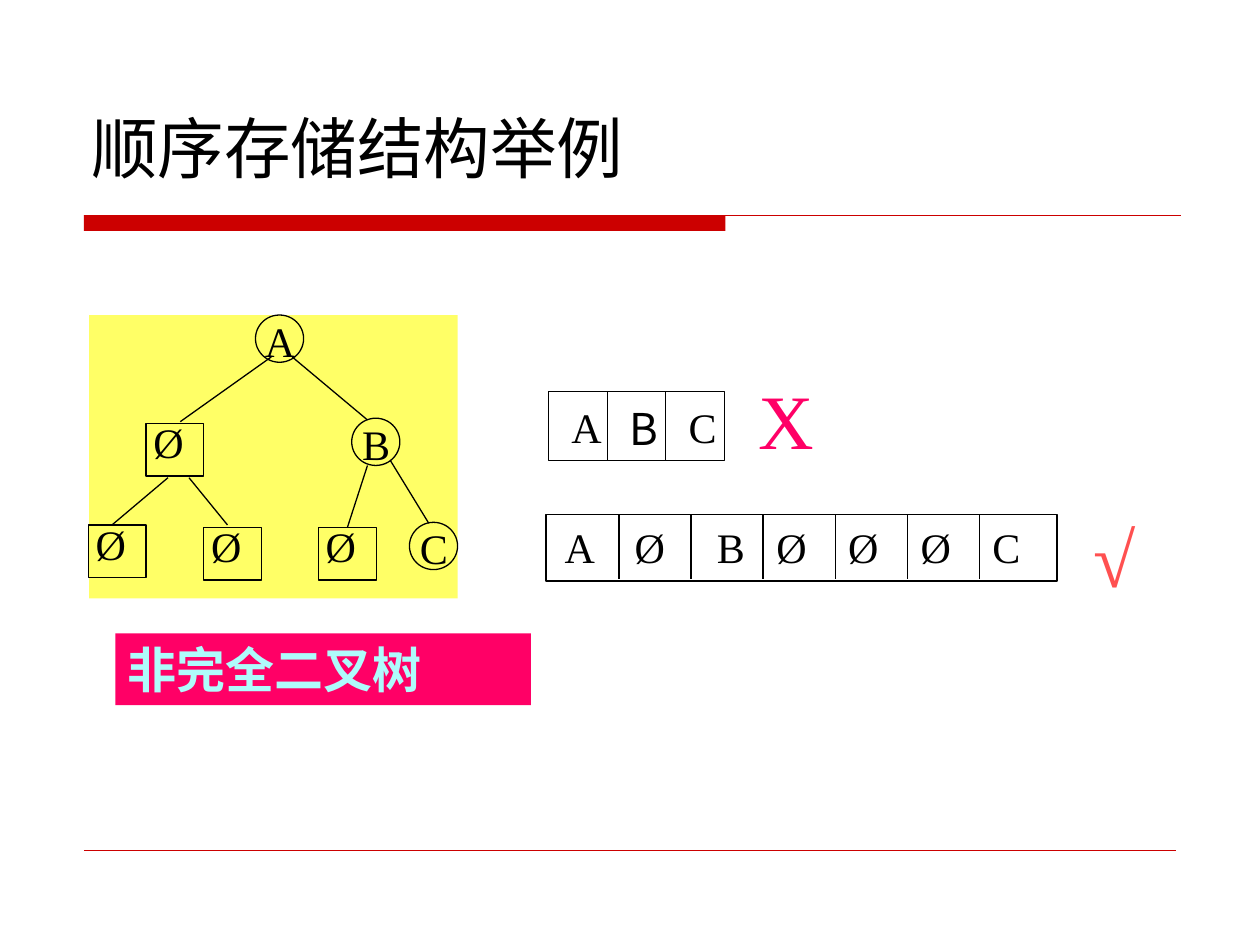
from lxml import etree
from pptx import Presentation
from pptx.dml.color import RGBColor
from pptx.enum.shapes import MSO_CONNECTOR, MSO_SHAPE
from pptx.enum.text import MSO_ANCHOR, PP_ALIGN
from pptx.oxml.ns import qn
from pptx.util import Pt

RECT, OVAL = MSO_SHAPE.RECTANGLE, MSO_SHAPE.OVAL
STRAIGHT = MSO_CONNECTOR.STRAIGHT
TOP, MIDDLE = MSO_ANCHOR.TOP, MSO_ANCHOR.MIDDLE
LEFT, CENTER, JUSTIFY = PP_ALIGN.LEFT, PP_ALIGN.CENTER, PP_ALIGN.JUSTIFY

SERIF, SANS, HAN = "Times New Roman", "DejaVu Sans", "Noto Sans CJK SC"
INSET = (7.2, 3.6, 7.2, 3.6)
BARE = (0, 0, 0, 0)
COLORS = {
    "ink": "000000", "paper": "FFFFFF", "red": "CC0000", "pink": "FF0066",
    "yellow": "FFFF66", "aqua": "AFFBFB", "coral": "FF5050",
}


def rgb(name):
    return RGBColor.from_string(COLORS[name])


def write(shape, text, size=24, color="ink", font=SERIF, bold=False,
          align=LEFT, inset=INSET, anchor=TOP, wrap=True, east=None):
    frame = shape.text_frame
    frame.text = text
    frame.word_wrap = wrap
    frame.vertical_anchor = anchor
    (frame.margin_left, frame.margin_top,
     frame.margin_right, frame.margin_bottom) = map(Pt, inset)
    para = frame.paragraphs[0]
    para.alignment = align
    for run in para.runs:
        run.font.name, run.font.size, run.font.bold = font, Pt(size), bold
        run.font.color.rgb = rgb(color)
        if east:
            etree.SubElement(run.font._element, qn("a:ea"), typeface=east)
    return para


def label(slide, box, text, **style):
    return write(slide.shapes.add_textbox(*map(Pt, box)), text, **style)


def draw(slide, kind, box, fill=None, line="ink", width=0.75):
    shape = slide.shapes.add_shape(kind, *map(Pt, box))
    shape.shadow.inherit = False
    if fill:
        shape.fill.solid()
        shape.fill.fore_color.rgb = rgb(fill)
    else:
        shape.fill.background()
    if line:
        shape.line.color.rgb = rgb(line)
        shape.line.width = Pt(width)
    else:
        shape.line.fill.background()
    return shape


def rule(slide, x1, y1, x2, y2, color="ink", width=0.75):
    line = slide.shapes.add_connector(STRAIGHT, *map(Pt, (x1, y1, x2, y2)))
    line.line.color.rgb = rgb(color)
    line.line.width = Pt(width)
    etree.SubElement(line._element.spPr, qn("a:effectLst"))
    return line


def header(slide, x, y, w, h):
    label(slide, (x, y, w, h), "顺序存储结构举例", size=38, font=SANS,
          anchor=MIDDLE, east=HAN)
    bar = x + 3, y + 99
    draw(slide, RECT, (*bar, 366.5, 9), "red", None)
    rule(slide, *bar, x + w, bar[1], "red")


def tree(slide, x, y, w, h):
    draw(slide, RECT, (x, y, w, h), "yellow", None)

    # Filled nodes
    for text, dx, dy in (("A", 95, 0), ("B", 150, 59), ("C", 183, 118.5)):
        label(slide, (x + dx + 2.5, y + dy, 23, 31.5), text,
              align=CENTER, inset=(0, 0, 0, 2.9))
        draw(slide, OVAL, (x + dx, y + dy, 27.5, 27))

    # Empty nodes
    for dx, dy in ((65.5, 121.5), (32.5, 62), (-0.5, 120), (131, 121.5)):
        empty = draw(slide, RECT, (x + dx, y + dy, 33, 30))
        label(slide, (x + dx - 3, y + dy - 7.5, 49, 47.5), "Ø", align=JUSTIFY)

    # Branches
    for x1, y1, x2, y2 in ((116, 24, 159, 60), (172, 83, 194, 119),
                           (104, 24, 52, 61), (57, 93, 79, 120),
                           (45, 93, 13, 120)):
        rule(slide, x + x1, y + y1, x + x2, y + y2)
    branch = rule(slide, x + 159, y + 86, x + 147.5, y + 121.5)
    branch.end_connect(empty, 0)


def short(slide, x, y, w, h):
    cell = w / 3
    for i, text in enumerate("ABC"):
        left = x + i * cell
        draw(slide, RECT, (left, y, cell, h), "paper", width=0.5)
        size, font = (25, HAN) if text == "B" else (24, SERIF)
        label(slide, (left + 13, y + 6, 17, 29), text, size=size, font=font,
              inset=BARE, wrap=False)
    label(slide, (x + w + 12.5, y - 14, 83.5, 60), "X", size=44, color="pink")


def full(slide, x, y, w, h):
    # Values stand on tab stops
    para = label(slide, (x + 3.5, y + 0.5, w - 3, 26),
                 "\t".join("AØBØØØC"))
    stops = etree.SubElement(para._p.get_or_add_pPr(), qn("a:tabLst"))
    for stop in (40, 87, 121, 162, 203.5, 244.5):
        etree.SubElement(stops, qn("a:tab"), pos=str(Pt(stop)), algn="l")

    draw(slide, RECT, (x, y, w, h))
    for i in range(1, 7):
        left = x + 0.5 + i * 41.2
        rule(slide, left, y, left, y + h - 1)
    label(slide, (x + w + 14, y - 6, 78, 60), "√", size=44, color="coral",
          bold=True)


def caption(slide, x, y, w, h):
    box = draw(slide, RECT, (x, y, w, h), "pink", None)
    write(box, "非完全二叉树", size=28, color="aqua", bold=True, east=HAN)


def main():
    deck = Presentation()
    deck.slide_width, deck.slide_height = Pt(720), Pt(540)
    slide = deck.slides.add_slide(deck.slide_layouts[6])
    header(slide, 45, 24, 630, 120)
    short(slide, 313.5, 223.5, 100.5, 39.5)
    caption(slide, 66, 362, 237.5, 41)
    tree(slide, 51, 180, 210.5, 162)
    full(slide, 312, 294, 292, 38)
    rule(slide, 48, 486, 672, 486, "red", 0.25)
    deck.save("out.pptx")


if __name__ == "__main__":
    main()
